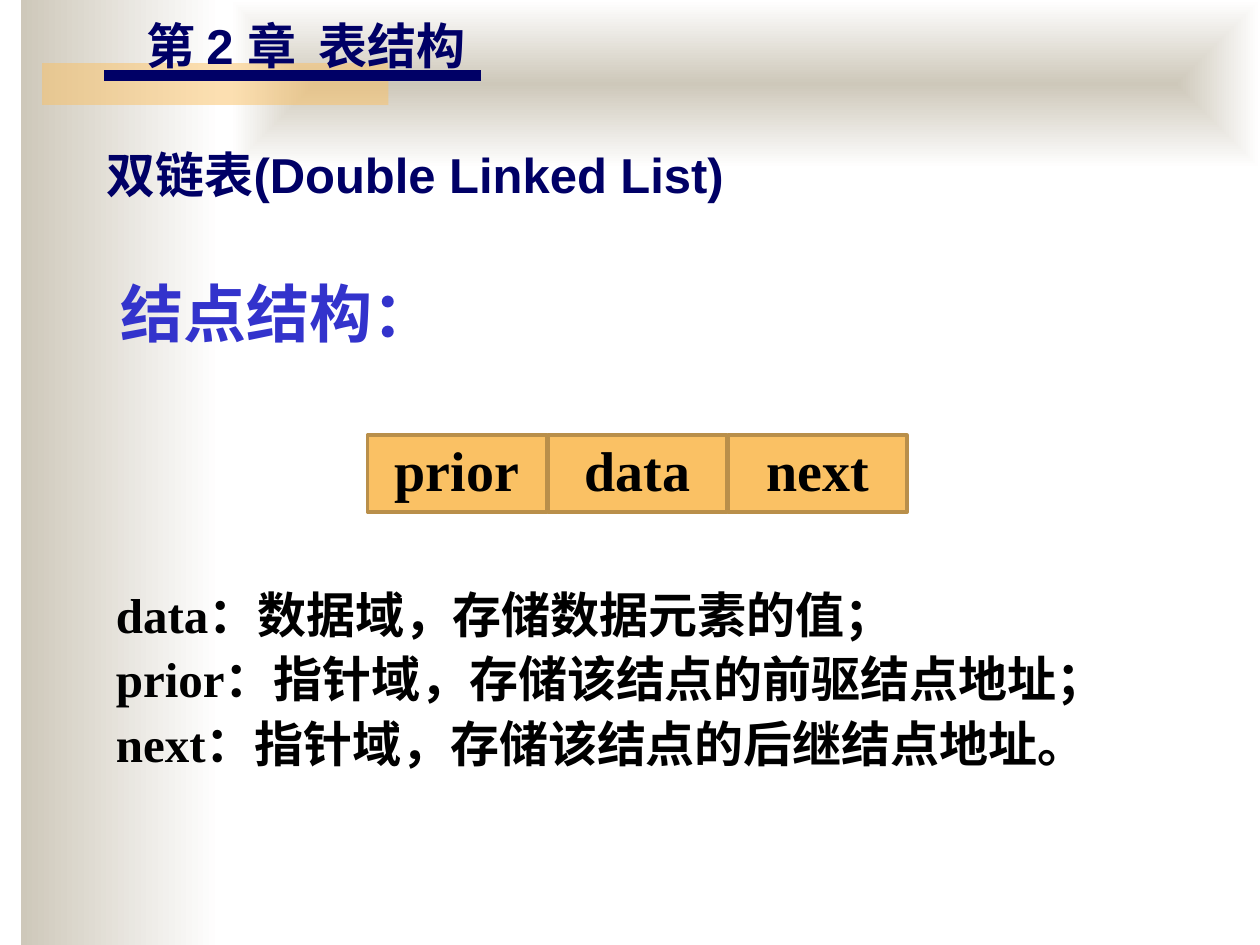
from dataclasses import dataclass
from lxml import etree
from pptx import Presentation
from pptx.dml.color import RGBColor
from pptx.enum import shapes, text
from pptx.oxml import ns
from pptx.util import Pt

NAVY = RGBColor(0x00, 0x00, 0x66)
BLUE = RGBColor(0x33, 0x33, 0xCC)
BLACK = RGBColor(0x00, 0x00, 0x00)
WHITE = RGBColor(0xFF, 0xFF, 0xFF)
SAND = RGBColor(0xCE, 0xC8, 0xBA)
GOLD = RGBColor(0xFA, 0xC1, 0x64)
BROWN = RGBColor(0xB9, 0x8F, 0x4A)

SANS = "Arial"
SERIF = "Times New Roman"
HAN = "Noto Sans CJK SC"


@dataclass(frozen=True)
class Box:
    """A place on the slide, in points."""
    left: float
    top: float
    width: float
    height: float

    def place(self) -> tuple:
        return Pt(self.left), Pt(self.top), Pt(self.width), Pt(self.height)


@dataclass(frozen=True)
class Label:
    box: Box
    lines: tuple
    font: str
    size: float
    color: RGBColor
    align: text.PP_ALIGN = text.PP_ALIGN.LEFT
    space: float = 1.0
    wrap: bool = True


CELL = Box(210, 248.7, 102.3, 44)
STEP = 103
FIELDS = ("prior", "data", "next")

LABELS = (
    Label(Box(76.6, 5.3, 210, 41), ("第 2 章  表结构",),
          SANS, 28, NAVY, wrap=False),
    Label(Box(54, 79.2, 379.5, 41), ("双链表(Double Linked List)",),
          SANS, 28, NAVY, wrap=False),
    Label(Box(62, 153.4, 180, 51), ("结点结构：",), HAN, 36, BLUE),
    Label(Box(59.2, 327, 642, 118),
          ("data：数据域，存储数据元素的值；",
           "prior：指针域，存储该结点的前驱结点地址；",
           "next：指针域，存储该结点的后继结点地址。"),
          SERIF, 28, BLACK, text.PP_ALIGN.JUSTIFY, 1.1),
)


def write(frame, lines, *, font, size, color, align=text.PP_ALIGN.LEFT,
          space=1.0, wrap=True) -> None:
    frame.word_wrap = wrap
    frame.vertical_anchor = text.MSO_ANCHOR.TOP
    for i, line in enumerate(lines):
        para = frame.paragraphs[0] if i == 0 else frame.add_paragraph()
        para.alignment = align
        para.line_spacing = space
        run = para.add_run()
        run.text = line
        run.font.name = font
        run.font.size = Pt(size)
        run.font.bold = True
        run.font.color.rgb = color
        east = etree.SubElement(run.font._element, ns.qn("a:ea"))
        east.set("typeface", HAN)


def add_rect(slide, box: Box):
    rect = slide.shapes.add_shape(shapes.MSO_SHAPE.RECTANGLE, *box.place())
    rect.shadow.inherit = False
    rect.line.fill.background()
    return rect


def add_fade(slide, box: Box, inner: bool = False) -> None:
    """Fade sand to white, rightward or from the centre out."""
    rect = add_rect(slide, box)
    rect.fill.gradient()
    rect.fill.gradient_angle = 0
    for stop, color in zip(rect.fill.gradient_stops, (SAND, WHITE)):
        stop.color.rgb = color
    if inner:
        grad = rect._element.spPr.find(ns.qn("a:gradFill"))
        grad.remove(grad.find(ns.qn("a:lin")))
        way = etree.SubElement(grad, ns.qn("a:path"), {"path": "shape"})
        etree.SubElement(way, ns.qn("a:fillToRect"),
                         {side: "50000" for side in "ltrb"})


def add_band(slide, box: Box) -> None:
    """Draw a half-transparent gold bar."""
    rect = add_rect(slide, box)
    rect.fill.solid()
    rect.fill.fore_color.rgb = GOLD
    color = rect._element.spPr.find(".//" + ns.qn("a:srgbClr"))
    etree.SubElement(color, ns.qn("a:alpha"), {"val": "50000"})


def add_rule(slide, left: float, right: float, top: float) -> None:
    rule = slide.shapes.add_connector(
        shapes.MSO_CONNECTOR.STRAIGHT, Pt(left), Pt(top), Pt(right), Pt(top))
    rule.line.color.rgb = NAVY
    rule.line.width = Pt(6)
    etree.SubElement(rule._element.spPr, ns.qn("a:effectLst"))


def add_label(slide, label: Label) -> None:
    frame = slide.shapes.add_textbox(*label.box.place()).text_frame
    write(frame, label.lines, font=label.font, size=label.size,
          color=label.color, align=label.align, space=label.space,
          wrap=label.wrap)


def add_cell(slide, box: Box, name: str) -> None:
    cell = add_rect(slide, box)
    cell.fill.solid()
    cell.fill.fore_color.rgb = GOLD
    cell.line.color.rgb = BROWN
    cell.line.width = Pt(2)
    frame = cell.text_frame
    frame.margin_top = Pt(0)
    frame.margin_bottom = Pt(3.6)
    write(frame, (name,), font=SERIF, size=32, color=BLACK,
          align=text.PP_ALIGN.CENTER)


def main() -> None:
    deck = Presentation()
    deck.slide_width, deck.slide_height = Pt(720), Pt(540)
    slide = deck.slides.add_slide(deck.slide_layouts[6])
    add_fade(slide, Box(12, 0, 114, 540))
    add_fade(slide, Box(132, 0, 588, 96), inner=True)
    add_band(slide, Box(24, 36, 198, 24))
    add_rule(slide, 59.5, 275, 43.2)
    for label in LABELS:
        add_label(slide, label)
    for i, name in enumerate(FIELDS):
        box = Box(CELL.left + i * STEP, CELL.top, CELL.width, CELL.height)
        add_cell(slide, box, name)
    deck.save("out.pptx")


if __name__ == "__main__":
    main()
